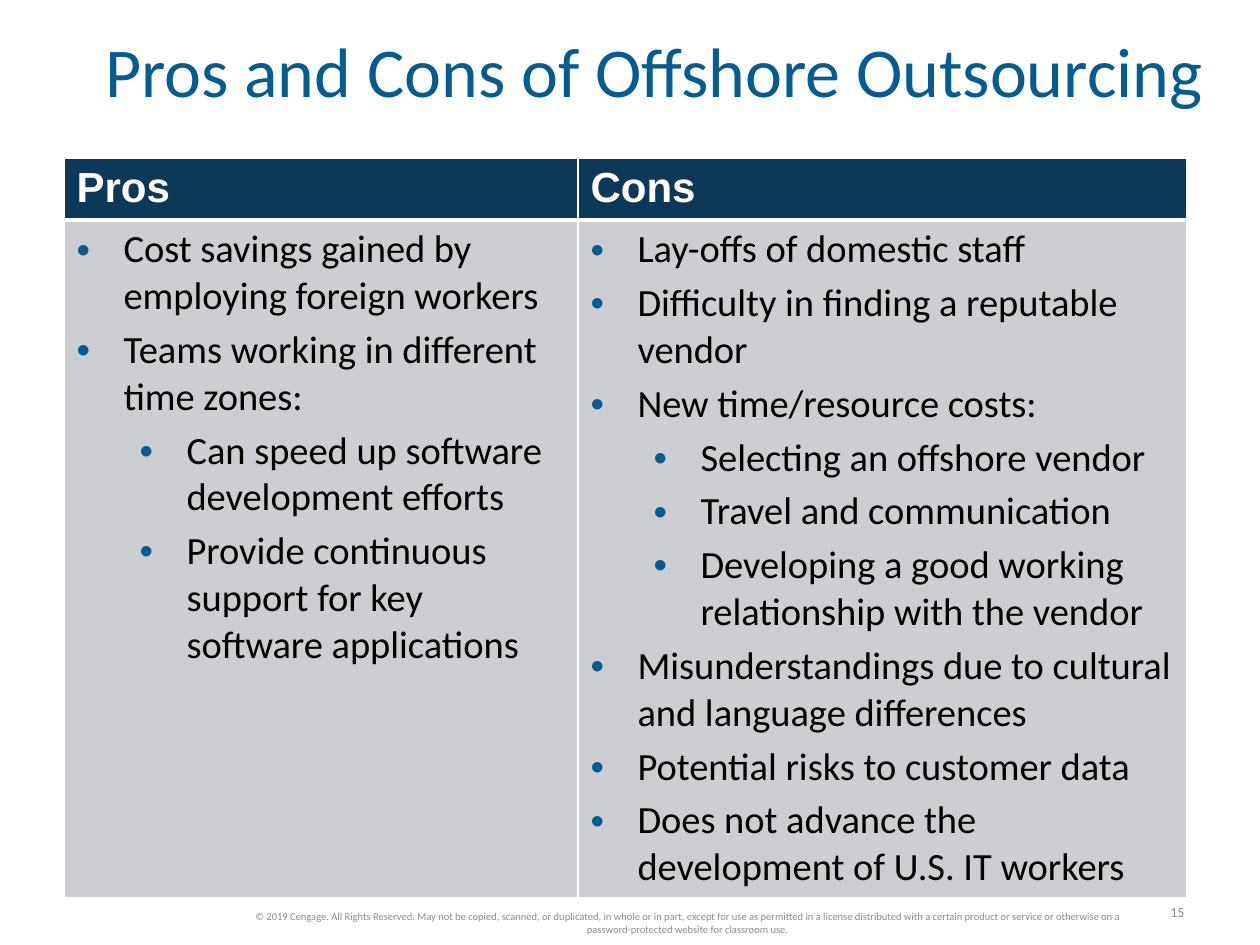
import pptx
import pptx.dml.color
import pptx.enum.text
import pptx.oxml
import pptx.oxml.ns
import pptx.util
from lxml import etree

EMU_PER_PX = 914400 / 126
COLORS = {
    "blue": "055C91",
    "navy": "0D3857",
    "gray": "CCCED1",
    "footer": "8C8C8C",
    "white": "FFFFFF",
    "black": "000000",
}
ALIGN = pptx.enum.text.PP_ALIGN
MIDDLE = pptx.enum.text.MSO_ANCHOR.MIDDLE

# Each list item is (level, text)
PROS = [
    (0, "Cost savings gained by employing foreign workers"),
    (0, "Teams working in different \ntime zones:"),
    (1, "Can speed up software development efforts"),
    (1, "Provide continuous support for key software applications"),
]
CONS = [
    (0, "Lay-offs of domestic staff"),
    (0, "Difficulty in finding a reputable vendor"),
    (0, "New time/resource costs:"),
    (1, "Selecting an offshore vendor"),
    (1, "Travel and communication"),
    (1, "Developing a good working relationship with the vendor"),
    (0, "Misunderstandings due to cultural and language differences"),
    (0, "Potential risks to customer data"),
    (0, "Does not advance the development of U.S. IT workers"),
]
COPYRIGHT = (
    "© 2019 Cengage. All Rights Reserved. May not be copied, scanned, or duplicated, "
    "in whole or in part, except for use as permitted in a license distributed with a "
    "certain product or service or otherwise on a password-protected website for "
    "classroom use."
)


def px(length):
    return pptx.util.Emu(round(length * EMU_PER_PX))


def rgb(name):
    return pptx.dml.color.RGBColor.from_string(COLORS[name])


def add_element(parent, tag, **attributes):
    element = etree.SubElement(parent, pptx.oxml.ns.qn(tag))
    for key, value in attributes.items():
        element.set(key, str(value))
    return element


def write_text(para, text, size, color, font="Calibri", bold=False, align=ALIGN.LEFT):
    para.text = text
    para.alignment = align
    for span in para.runs:
        span.font.name = font
        span.font.size = pptx.util.Pt(size)
        span.font.bold = bold
        span.font.color.rgb = rgb(color)


def add_bullet(para, level):
    properties = para._p.get_or_add_pPr()
    properties.set("marL", str(px(47 + 63 * level)))
    properties.set("indent", str(-px(47)))
    color = add_element(properties, "a:buClr")
    add_element(color, "a:srgbClr", val=COLORS["blue"])
    add_element(properties, "a:buFont", typeface="Arial")
    add_element(properties, "a:buChar", char="•")
    para.level = level


def style_cell(cell, fill, top, bottom):
    properties = cell._tc.get_or_add_tcPr()
    for side, width in (("L", 1), ("R", 1), ("T", top), ("B", bottom)):
        line = add_element(properties, f"a:ln{side}", w=pptx.util.Pt(width))
        solid = add_element(line, "a:solidFill")
        add_element(solid, "a:srgbClr", val=COLORS["white"])
    cell.fill.solid()
    cell.fill.fore_color.rgb = rgb(fill)


def fill_list(frame, items):
    for index, (level, text) in enumerate(items):
        para = frame.add_paragraph() if index else frame.paragraphs[0]
        add_bullet(para, level)
        if index:
            para.space_before = pptx.util.Pt(4)
        write_text(para, text, size=22, color="black")


def add_comparison(page, columns):
    widths, heights = (514, 609), (62, 669)
    frame = page.shapes.add_table(
        2, 2, px(64), px(158), px(sum(widths)), px(sum(heights))
    )
    table = frame.table
    for row, height in zip(table.rows, heights):
        row.height = px(height)
    for index, (heading, items) in enumerate(columns):
        table.columns[index].width = px(widths[index])
        header, body = table.cell(0, index), table.cell(1, index)
        style_cell(header, "navy", top=1, bottom=3)
        style_cell(body, "gray", top=3, bottom=1)
        write_text(header.text_frame.paragraphs[0], heading, size=24,
                   color="white", font="Arial", bold=True)
        fill_list(body.text_frame, items)


def add_title(page, text):
    title = page.shapes.title
    title.left, title.top, title.width, title.height = map(px, (105, 40, 1106, 73))
    frame = title.text_frame
    frame.margin_left = frame.margin_right = frame.margin_top = frame.margin_bottom = 0
    frame.vertical_anchor = MIDDLE
    frame.word_wrap = True
    frame.auto_size = pptx.enum.text.MSO_AUTO_SIZE.NONE
    para = frame.paragraphs[0]
    write_text(para, text, size=40, color="blue")
    para.line_spacing = 0.85


def add_label(page, text, bounds, wrap=True, **text_format):
    box = page.shapes.add_textbox(*map(px, bounds))
    frame = box.text_frame
    frame.word_wrap = wrap
    frame.vertical_anchor = MIDDLE
    write_text(frame.paragraphs[0], text, color="footer", **text_format)


def main():
    deck = pptx.Presentation()
    deck.slide_width, deck.slide_height = px(1260), px(945)
    page = deck.slides.add_slide(deck.slide_layouts.get_by_name("Title Only"))

    # Heading and comparison table
    add_title(page, "Pros and Cons of Offshore Outsourcing")
    add_comparison(page, [("Pros", PROS), ("Cons", CONS)])

    # Footer: page number and copyright line
    add_label(page, "15", (1154, 897, 43, 30), wrap=False, size=8, align=ALIGN.RIGHT)
    add_label(page, COPYRIGHT, (220, 906, 935, 34), size=6, align=ALIGN.CENTER)

    deck.save("out.pptx")


if __name__ == "__main__":
    main()
